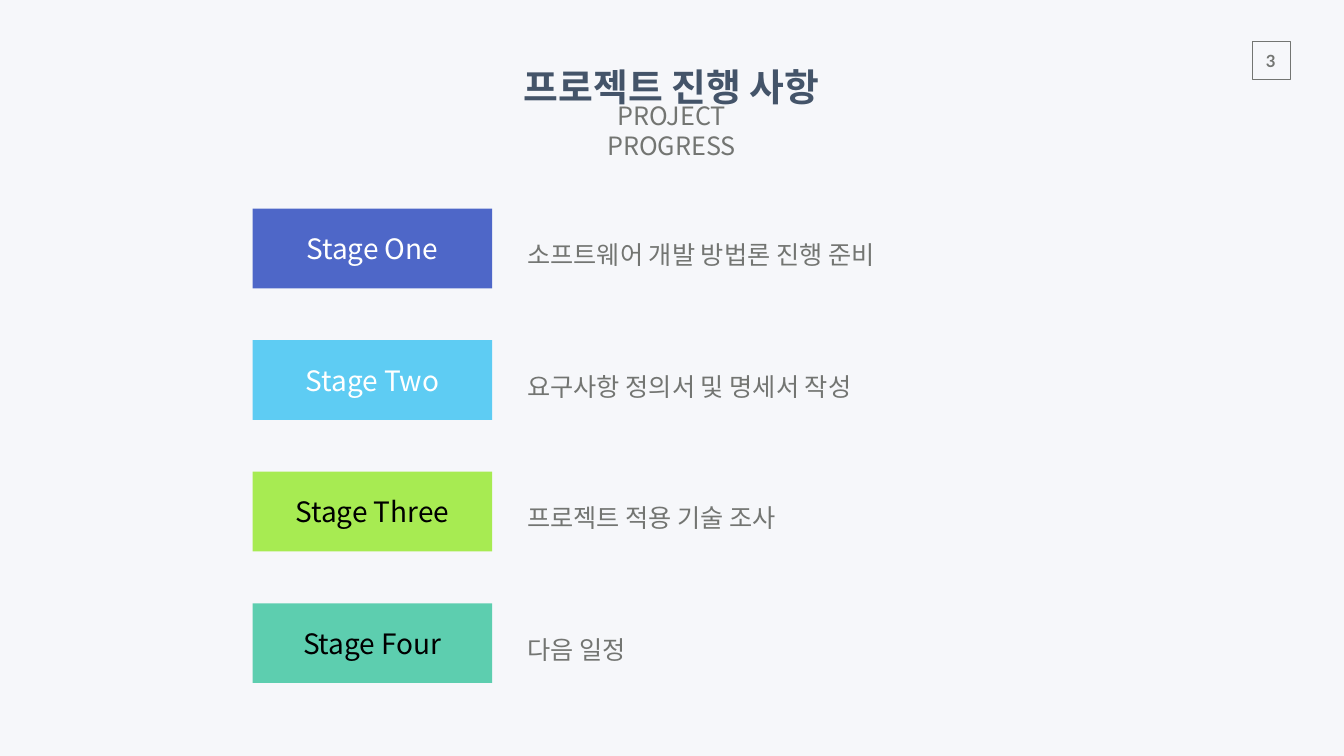
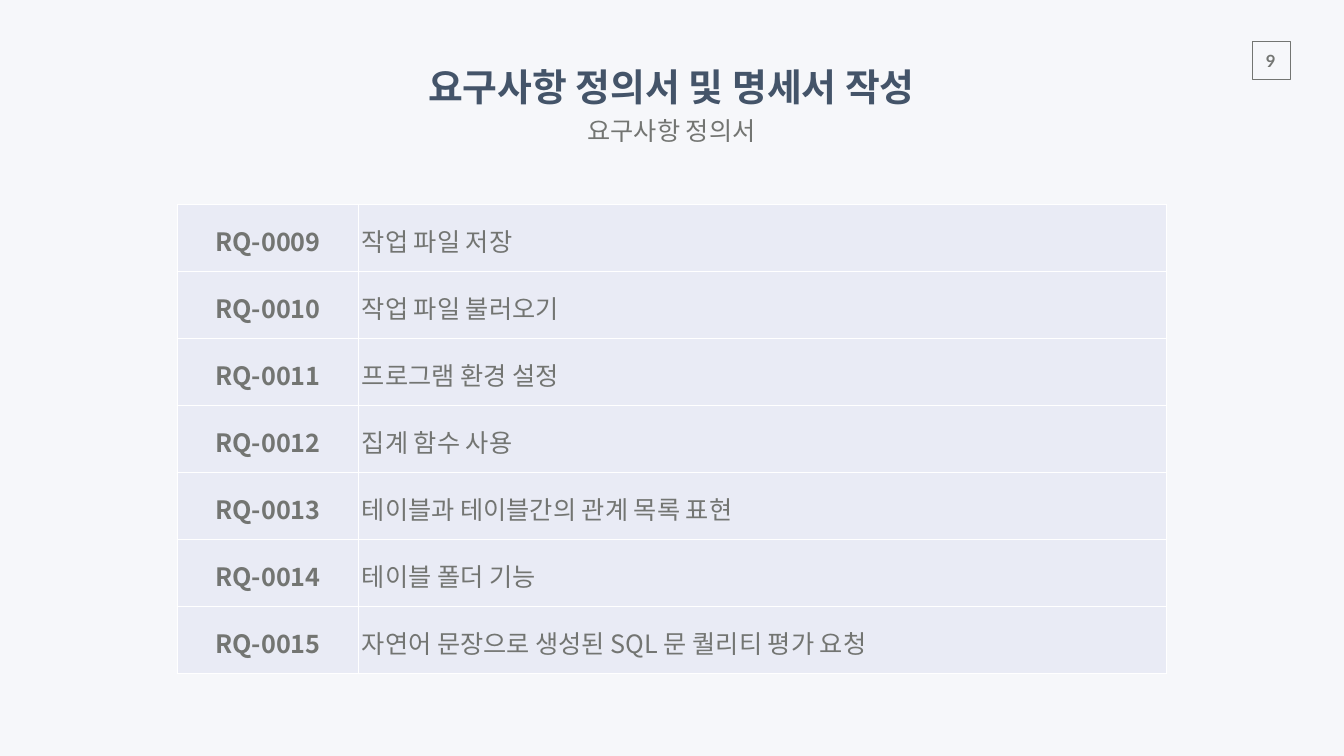
from pptx import Presentation
from pptx.dml.color import RGBColor
from pptx.enum.shapes import MSO_SHAPE
from pptx.enum.text import MSO_ANCHOR, PP_ALIGN
from pptx.oxml import parse_xml
from pptx.oxml.ns import nsdecls, qn
from pptx.util import Inches, Pt

RECT, ROUND = MSO_SHAPE.RECTANGLE, MSO_SHAPE.ROUNDED_RECTANGLE
TOP, MIDDLE = MSO_ANCHOR.TOP, MSO_ANCHOR.MIDDLE
LEFT, CENTER = PP_ALIGN.LEFT, PP_ALIGN.CENTER

WIDTH, HEIGHT = 26.66, 15
SANS, LATO = "Noto Sans CJK KR", "Lato"
COLORS = {
    "back": "F6F7FA", "title": "445469", "gray": "737572",
    "white": "FFFFFF", "black": "000000", "cell": "E9EBF5",
    "blue": "4E67C8", "sky": "5ECCF3", "lime": "A7EB52", "mint": "5DCEAF",
}
# Label, fill, label colour, description, description width
STAGES = [
    ("Stage One", "blue", "white", "소프트웨어 개발 방법론 진행 준비", 11.08),
    ("Stage Two", "sky", "white", "요구사항 정의서 및 명세서 작성", 9.24),
    ("Stage Three", "lime", "black", "프로젝트 적용 기술 조사", 11.39),
    ("Stage Four", "mint", "black", "다음 일정", 5.03),
]
FIRST = 9
NEEDS = [
    "작업 파일 저장",
    "작업 파일 불러오기",
    "프로그램 환경 설정",
    "집계 함수 사용",
    "테이블과 테이블간의 관계 목록 표현",
    "테이블 폴더 기능",
    "자연어 문장으로 생성된 SQL 문 퀄리티 평가 요청",
]


def color(name):
    return RGBColor.from_string(COLORS[name])


def box(left, top, width, height):
    return [Inches(n) for n in (left, top, width, height)]


def write(frame, text, size, tint, bold=False, align=CENTER, face=SANS):
    """Fill the first paragraph, setting the face for Latin and Korean."""
    frame.text = text
    para = frame.paragraphs[0]
    para.alignment = align
    font = para.font
    font.size, font.bold, font.name = Pt(size), bold, face
    font.color.rgb = color(tint)
    latin = para._p.pPr.find(qn("a:defRPr")).find(qn("a:latin"))
    latin.addnext(parse_xml(f'<a:ea {nsdecls("a")} typeface="{face}"/>'))
    return para


def inset(target, side, edge):
    target.margin_left = target.margin_right = Inches(side)
    target.margin_top = target.margin_bottom = Inches(edge)


def add_text(shapes, place, text, size, tint, anchor=TOP, pad=(0.2, 0.1), **style):
    frame = shapes.add_textbox(*box(*place)).text_frame
    frame.word_wrap = True
    frame.vertical_anchor = anchor
    inset(frame, *pad)
    return write(frame, text, size, tint, **style)


def add_block(shapes, kind, place, fill=None, line=None):
    shape = shapes.add_shape(kind, *box(*place))
    shape.shadow.inherit = False
    if fill:
        shape.fill.solid()
        shape.fill.fore_color.rgb = color(fill)
    else:
        shape.fill.background()
    if line:
        shape.line.color.rgb = color(line)
        shape.line.width = Pt(1)
    else:
        shape.line.fill.background()
    return shape


def add_head(slide, title, wide, sub, narrow):
    """Add the centred title and subtitle, given their widths."""
    rows = [
        (title, wide, 1.12, 1.18, 54, "title", True),
        (sub, narrow, 2.15, 0.88, 36, "gray", False),
    ]
    for text, width, top, height, size, tint, bold in rows:
        place = ((WIDTH - width) / 2 - 0.01, top, width, height)
        add_text(slide.shapes, place, text, size, tint,
                 anchor=MIDDLE, pad=(0.27, 0.13), bold=bold)


def add_page(prs, number):
    slide = prs.slides.add_slide(prs.slide_layouts[6])
    add_block(slide.shapes, RECT, (24.84, 0.82, 0.75, 0.75), line="gray")
    add_text(slide.shapes, (24.8, 0.9, 0.81, 0.61), str(number), 24, "gray",
             bold=True, face=LATO)
    return slide


def add_stage(slide, top, label, fill, tint, text, width):
    shapes = slide.shapes.add_group_shape().shapes
    block = add_block(shapes, ROUND, (5.01, top, 4.75, 1.58), fill)
    block.adjustments[0] = 0
    frame = block.text_frame
    frame.vertical_anchor = MIDDLE
    inset(frame, 0, 0)
    write(frame, label, 40, tint)
    para = add_text(shapes, (10.26, top + 0.27, width, 1.05), text, 36, "gray",
                    align=LEFT)
    para.line_spacing = 1.4
    para.space_before = Pt(20)


def add_edges(cell, tint):
    props = cell._tc.get_or_add_tcPr()
    for side in "LRTB":
        props.append(parse_xml(
            f'<a:ln{side} {nsdecls("a")} w="{Pt(1)}"><a:solidFill>'
            f'<a:srgbClr val="{COLORS[tint]}"/></a:solidFill></a:ln{side}>'))


def fill_cell(cell, text, **style):
    inset(cell, 0.07, 0.07)
    cell.vertical_anchor = MIDDLE
    add_edges(cell, "white")
    cell.fill.solid()
    cell.fill.fore_color.rgb = color("cell")
    write(cell.text_frame, text, 36, "gray", **style).line_spacing = 1.15


def add_needs(slide):
    place = box(3.52, 4.05, 19.61, 1.33 * len(NEEDS))
    table = slide.shapes.add_table(len(NEEDS), 2, *place).table
    table.first_row = table.horz_banding = False
    for col, width in zip(table.columns, (3.59, 16.02)):
        col.width = Inches(width)
    for i, text in enumerate(NEEDS):
        table.rows[i].height = Inches(1.33)
        fill_cell(table.cell(i, 0), f"RQ-{FIRST + i:04}", bold=True)
        fill_cell(table.cell(i, 1), text, align=LEFT)


def main():
    prs = Presentation()
    prs.slide_width, prs.slide_height = Inches(WIDTH), Inches(HEIGHT)
    back = prs.slide_master.background.fill
    back.solid()
    back.fore_color.rgb = color("back")

    slide = add_page(prs, 3)
    for i, stage in enumerate(STAGES):
        add_stage(slide, 4.14 + 2.61 * i, *stage)
    add_head(slide, "프로젝트 진행 사항", 6.66, "PROJECT PROGRESS", 5.33)

    slide = add_page(prs, 9)
    add_needs(slide)
    add_head(slide, "요구사항 정의서 및 명세서 작성", 10.64, "요구사항 정의서", 4.01)

    prs.save("out.pptx")


if __name__ == "__main__":
    main()
